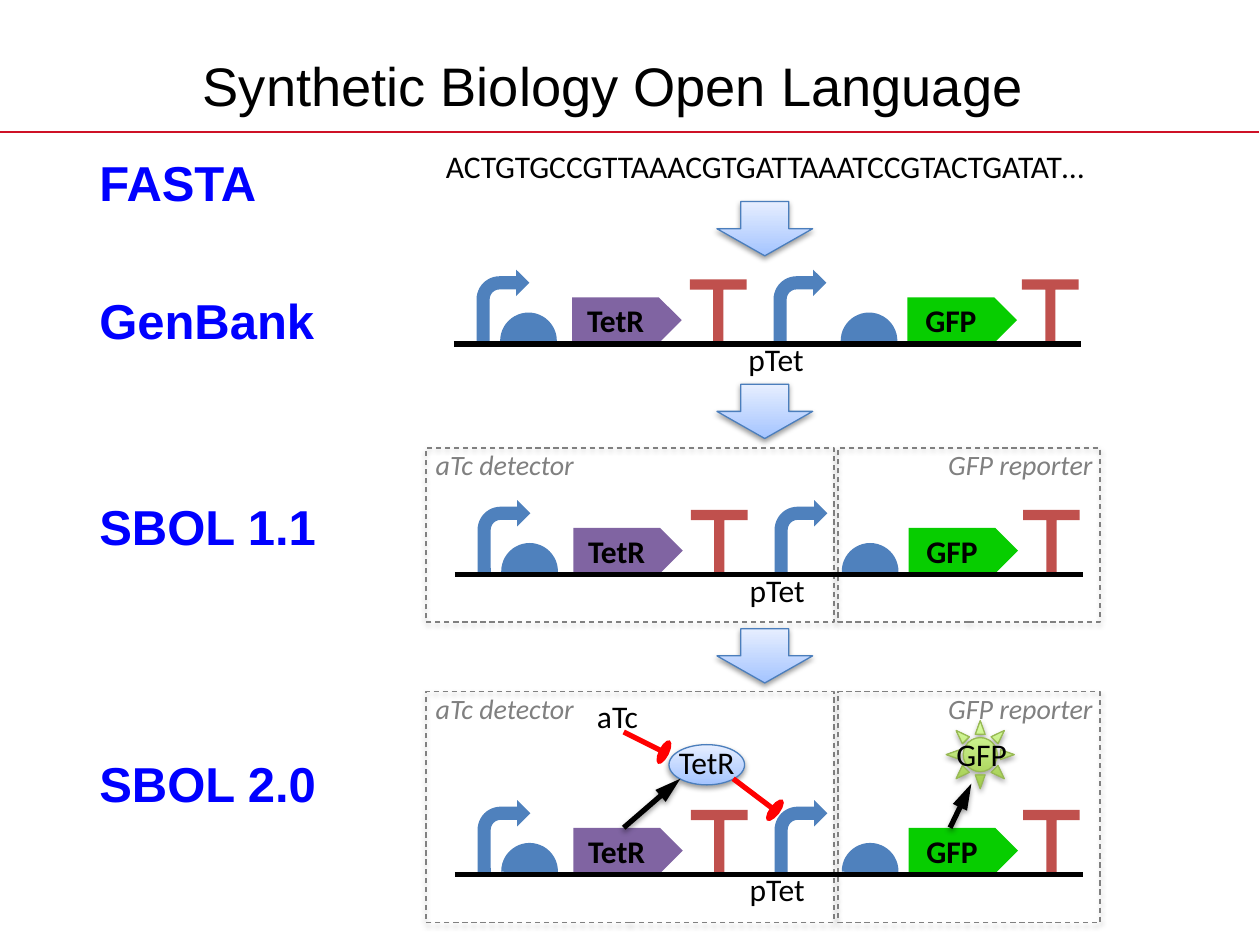
from lxml import etree
from pptx import Presentation
from pptx.dml.color import RGBColor
from pptx.enum.dml import MSO_LINE
from pptx.enum.shapes import MSO_CONNECTOR, MSO_SHAPE
from pptx.enum.text import MSO_ANCHOR, PP_ALIGN
from pptx.oxml.ns import qn
from pptx.util import Pt

LEFT, MID, RIGHT = PP_ALIGN.LEFT, PP_ALIGN.CENTER, PP_ALIGN.RIGHT
TOP, CORE = MSO_ANCHOR.TOP, MSO_ANCHOR.MIDDLE
DASH = MSO_LINE.DASH
STRAIGHT = MSO_CONNECTOR.STRAIGHT
OVAL, SUN, RECT = MSO_SHAPE.OVAL, MSO_SHAPE.SUN, MSO_SHAPE.RECTANGLE
GENE, BENT, DOME = MSO_SHAPE.RIGHT_ARROW, MSO_SHAPE.BENT_ARROW, MSO_SHAPE.CHORD
TEE, DOWN = MSO_SHAPE.LEFT_RIGHT_UP_ARROW, MSO_SHAPE.DOWN_ARROW

HUES = {
    "black": "000000", "blue": "0000FF", "rule": "CE1126", "gray": "808080",
    "red": "FF0000", "purple": "8064A2", "green": "07CD00", "steel": "4F81BD",
    "brick": "C0504D", "sky": "A4C4FF", "pale": "E6EEFF", "edge": "4B7EBC",
    "lime": "A0CA4A", "mint": "DAFFA5", "leaf": "98B955",
}
INK = {name: RGBColor.from_string(code) for name, code in HUES.items()}

deck = Presentation()
deck.slide_width, deck.slide_height = Pt(720), Pt(540)
slide = deck.slides.add_slide(deck.slide_layouts[5])
shapes = slide.shapes
shades = []


def draw(kind, box, fill=None, edge=None, adj=(), alpha=0):
    shape = shapes.add_shape(kind, *[Pt(v) for v in box])
    shape.shadow.inherit = False
    for i, value in enumerate(adj):
        shape.adjustments[i] = value
    if isinstance(fill, tuple):
        shape.fill.gradient()
        shape.fill.gradient_angle = 90
        for stop, name in zip(shape.fill.gradient_stops, fill):
            stop.color.rgb = INK[name]
    elif fill:
        shape.fill.solid()
        shape.fill.fore_color.rgb = INK[fill]
    else:
        shape.fill.background()
    if edge:
        shape.line.color.rgb = INK[edge]
        shape.line.width = Pt(0.75)
    else:
        shape.line.fill.background()
    if alpha:
        shades.append((shape, alpha))
    return shape


def write(item, text, size=18, hue="black", face="Calibri", bold=False,
          slant=False, align=LEFT, anchor=TOP, wrap=True):
    if isinstance(item, tuple):
        item = shapes.add_textbox(*[Pt(v) for v in item])
    frame = item.text_frame
    frame.word_wrap = wrap
    frame.vertical_anchor = anchor
    para = frame.paragraphs[0]
    para.alignment = align
    run = para.add_run()
    run.text = text
    font = run.font
    font.name, font.size, font.bold, font.italic = face, Pt(size), bold, slant
    font.color.rgb = INK[hue]


title = shapes.title
title.left, title.top, title.width, title.height = Pt(108.7), Pt(21.6), Pt(530), Pt(54)
write(title, "Synthetic Biology Open Language", 31, face="Arial", anchor=CORE)

names = [("FASTA", 104), ("GenBank", 183), ("SBOL 1.1", 300.5), ("SBOL 2.0", 447.5)]
for name, y in names:
    write((49.7, y - 20, 153, 40), name, 28, "blue", "Arial", bold=True, anchor=CORE)

write((247.7, 80.6, 392.4, 28.8), "ACTGTGCCGTTAAACGTGATTAAATCCGTACTGATAT…", wrap=False)

draw(OVAL, (382.3, 425.5, 43.2, 23), ("sky", "pale"), "edge", alpha=38)
draw(SUN, (540.7, 411.8, 38.9, 38.9), ("lime", "mint"), "leaf", alpha=35)

lines = [(0, 75.6, 719.3, 75.6, "rule", 1, None, 0)]
rows = [(259.4, 196.6), (260, 328.3), (260, 499.7)]
for x, y in rows:
    for dx, name, hue in [(67.6, "TetR", "purple"), (259.2, "GFP", "green")]:
        gene = draw(GENE, (x + dx, y - 26.6, 62.6, 26), hue, adj=(1, 0.5))
        write(gene, name, bold=True, align=MID, anchor=CORE)
    for dx in (12.9, 182.6):
        draw(BENT, (x + dx, y - 42.5, 30.2, 41), "steel")
    for dx in (26.4, 221):
        draw(DOME, (x + dx, y - 18, 32.4, 32.4), "steel", adj=(107.45, 1.03))
    for dx in (134.8, 324.6):
        tee = draw(TEE, (x + dx, y - 36.9, 32.4, 36), "brick", adj=(0.455, 0.09, 0))
        tee.rotation = 180
    write((x + 161.2, y - 5.8, 49, 28.8), "pTet")
    lines.append((x, y, x + 358.6, y, "black", 3, None, 0))

for y, high in [(256, 99.4), (395.3, 131.8)]:
    for x, wide in [(243.4, 233.3), (478.8, 149.8)]:
        frame = draw(RECT, (x, y, wide, high), edge="gray", alpha=35)
        frame.line.dash_style = DASH
    write((241.9, y - 3.8, 94.3, 26.6), "aTc detector", 16, "gray", slant=True)
    write((522, y - 3.8, 109.4, 26.6), "GFP reporter", 16, "gray", slant=True, align=RIGHT)

for y in (115.2, 219.6, 359.3):
    draw(DOWN, (409.7, y, 54.7, 31), ("sky", "pale"), "edge", alpha=38)

lines += [
    (356.4, 418.3, 379.4, 429.8, "red", 3, "oval", 0),
    (419, 445, 442.8, 463, "red", 3, "oval", 0),
    (356.4, 473, 388.8, 445, "black", 3, "triangle", 38),
    (542.9, 473, 555.1, 447.8, "black", 3, "triangle", 38),
]
ends = {"oval": ("lg", "sm"), "triangle": ("med", "lg")}
for x, y, u, v, hue, size, tip, alpha in lines:
    line = shapes.add_connector(STRAIGHT, Pt(x), Pt(y), Pt(u), Pt(v))
    line.line.color.rgb = INK[hue]
    line.line.width = Pt(size)
    if tip:
        wide, long = ends[tip]
        etree.SubElement(line.line._get_or_add_ln(), qn("a:tailEnd"),
                         type=tip, w=wide, len=long)
    etree.SubElement(line._element.spPr, qn("a:effectLst"))
    if alpha:
        shades.append((line, alpha))

for item, alpha in shades:
    group = item._element.spPr.find(qn("a:effectLst"))
    cast = etree.SubElement(group, qn("a:outerShdw"), blurRad=str(Pt(3.1)),
                            dist=str(Pt(1.6)), dir="5400000", rotWithShape="0")
    tint = etree.SubElement(cast, qn("a:srgbClr"), val=HUES["black"])
    etree.SubElement(tint, qn("a:alpha"), val=str(alpha * 1000))

for x, y, name in [(328.3, 394.6, "aTc"), (379.4, 421.2, "TetR"), (536.4, 416.2, "GFP")]:
    write((x, y, 49, 28.8), name, align=MID)

deck.save("out.pptx")
